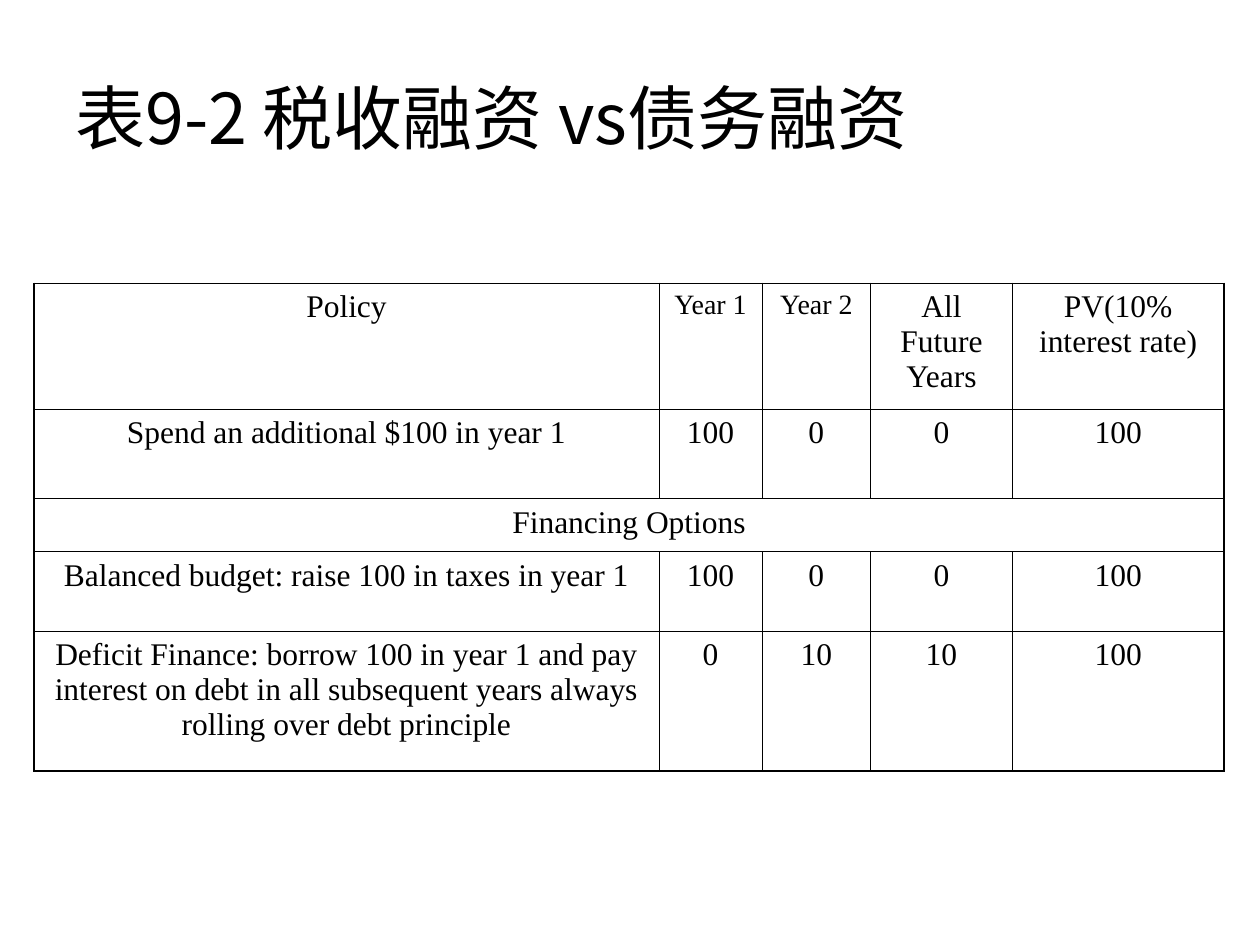
from dataclasses import dataclass

from lxml.etree import SubElement
from pptx import Presentation
from pptx.dml.color import RGBColor
from pptx.enum.text import MSO_ANCHOR, PP_ALIGN
from pptx.oxml.ns import qn
from pptx.slide import Slide
from pptx.table import Table, _Cell
from pptx.util import Pt

BLACK = RGBColor(0, 0, 0)
TITLE_FONT = "Noto Sans CJK SC"
TABLE_FONT = "Times New Roman"
INNER_LINE = 0.45
OUTER_LINE = 1.08
COLUMN_WIDTHS = (357, 59, 62, 81, 121)


@dataclass(frozen=True)
class PolicyRow:
    height: float
    texts: tuple[str, ...]


POLICY_ROWS = (
    PolicyRow(72, ("Policy", "Year 1", "Year 2", "All Future Years", "PV(10% interest rate)")),
    PolicyRow(51, ("Spend an additional $100 in year 1", "100", "0", "0", "100")),
    PolicyRow(30.25, ("Financing Options",)),
    PolicyRow(45.25, ("Balanced budget: raise 100 in taxes in year 1", "100", "0", "0", "100")),
    PolicyRow(80, (
        "Deficit Finance: borrow 100 in year 1 and pay interest on debt "
        "in all subsequent years always rolling over debt principle",
        "0", "10", "10", "100",
    )),
)


def add_title(page: Slide, text: str) -> None:
    box = page.shapes.add_textbox(Pt(36), Pt(21.6), Pt(648), Pt(90))
    frame = box.text_frame
    frame.word_wrap = True
    frame.vertical_anchor = MSO_ANCHOR.MIDDLE
    para = frame.paragraphs[0]
    span = para.add_run()
    span.text = text
    span.font.size = Pt(40)
    span.font.name = TITLE_FONT
    span.font.color.rgb = BLACK
    SubElement(span.font._element, qn("a:ea"), typeface=TITLE_FONT)


def set_borders(cell: _Cell, outer_sides: dict[str, bool]) -> None:
    properties = cell._tc.get_or_add_tcPr()
    for position, (side, is_outer) in enumerate(outer_sides.items()):
        width = Pt(OUTER_LINE if is_outer else INNER_LINE)
        line = properties.makeelement(qn(f"a:ln{side}"), {"w": str(width)})
        fill = SubElement(line, qn("a:solidFill"))
        SubElement(fill, qn("a:srgbClr"), val=str(BLACK))
        properties.insert(position, line)


def write_cell(cell: _Cell, text: str, size: float) -> None:
    cell.text = text
    para = cell.text_frame.paragraphs[0]
    para.alignment = PP_ALIGN.CENTER
    para.space_before = Pt(size / 4)
    para.font.size = Pt(size)
    para.font.name = TABLE_FONT
    para.font.color.rgb = BLACK


def fill_table(table: Table) -> None:
    last_row, last_column = len(POLICY_ROWS) - 1, len(COLUMN_WIDTHS) - 1
    for column, width in zip(table.columns, COLUMN_WIDTHS):
        column.width = Pt(width)
    for row_index, policy in enumerate(POLICY_ROWS):
        table.rows[row_index].height = Pt(policy.height)
        if len(policy.texts) == 1:
            table.cell(row_index, 0).merge(table.cell(row_index, last_column))
        for column_index in range(last_column + 1):
            cell = table.cell(row_index, column_index)
            cell.fill.background()
            set_borders(cell, {
                "L": column_index == 0,
                "R": column_index == last_column or cell.is_merge_origin,
                "T": row_index == 0,
                "B": row_index == last_row,
            })
        for column_index, text in enumerate(policy.texts):
            size = 16 if text.startswith("Year") else 18
            write_cell(table.cell(row_index, column_index), text, size)


def add_policy_table(page: Slide) -> None:
    height = sum(policy.height for policy in POLICY_ROWS)
    frame = page.shapes.add_table(
        len(POLICY_ROWS), len(COLUMN_WIDTHS),
        Pt(19.5), Pt(162), Pt(sum(COLUMN_WIDTHS)), Pt(height),
    )
    frame.table.first_row = False
    frame.table.horz_banding = False
    fill_table(frame.table)


def main() -> None:
    deck = Presentation()
    deck.slide_width, deck.slide_height = Pt(720), Pt(540)
    page = deck.slides.add_slide(deck.slide_layouts[6])
    add_title(page, "表9-2 税收融资 vs债务融资")
    add_policy_table(page)
    deck.save("out.pptx")


if __name__ == "__main__":
    main()
